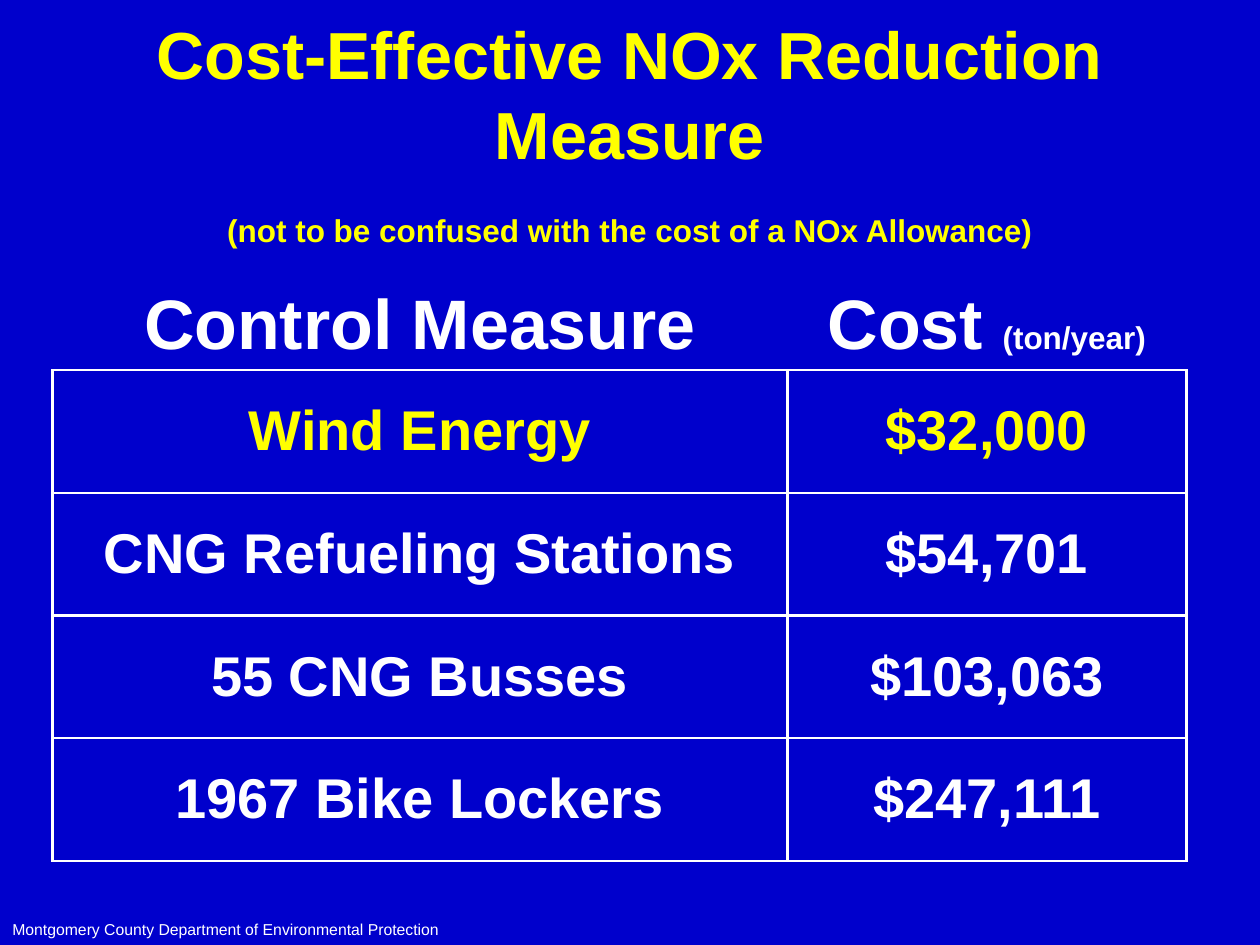
"""Build a slide with a table of NOx reduction costs."""
from dataclasses import dataclass

from lxml import etree
from pptx import Presentation
from pptx import util as u
from pptx.dml.color import RGBColor
from pptx.enum import text
from pptx.oxml import ns


@dataclass(frozen=True)
class Theme:
    font: str = "Arial"
    blue: str = "0000CC"
    white: str = "FFFFFF"
    yellow: str = "FFFF00"
    title: float = 38
    heading: float = 40
    body: float = 32
    small: float = 18
    footer: float = 9
    border: float = 1.47


@dataclass(frozen=True)
class Measure:
    name: str
    cost: str
    color: str


THEME = Theme()
MEASURES = (
    Measure("Wind Energy", "$32,000", THEME.yellow),
    Measure("CNG Refueling Stations", "$54,701", THEME.white),
    Measure("55 CNG Busses", "$103,063", THEME.white),
    Measure("1967 Bike Lockers", "$247,111", THEME.white),
)
COLUMNS = (420, 228)
HEADER_HEIGHT, ROW_HEIGHT = 91.4, 70.1


def style(p, size: float, color: str, bold: bool = True, align=text.PP_ALIGN.CENTER) -> None:
    """Format a whole paragraph."""
    p.alignment = align
    p.font.name = THEME.font
    p.font.size = u.Pt(size)
    p.font.bold = bold
    p.font.color.rgb = RGBColor.from_string(color)


def set_borders(cell, **sides: str) -> None:
    """Draw the cell borders, given as L, R, T and B colours."""
    props = cell._tc.get_or_add_tcPr()
    for side, color in sides.items():
        ln = etree.SubElement(props, ns.qn(f"a:ln{side}"), w=str(u.Pt(THEME.border)))
        fill = etree.SubElement(ln, ns.qn("a:solidFill"))
        etree.SubElement(fill, ns.qn("a:srgbClr"), val=color)


def fill_cell(cell, label: str, size: float, color: str, header: bool = False):
    """Write and format one cell and return its paragraph."""
    edge = THEME.blue if header else THEME.white
    set_borders(cell, L=edge, R=edge, T=edge, B=THEME.white)
    cell.fill.background()
    cell.vertical_anchor = text.MSO_ANCHOR.BOTTOM if header else text.MSO_ANCHOR.MIDDLE
    p = cell.text_frame.paragraphs[0]
    p.text = label
    style(p, size, color)
    return p


def add_title(slide) -> None:
    """Fill the title placeholder."""
    sp = slide.shapes.title
    sp.left, sp.top, sp.width, sp.height = u.Pt(0), u.Pt(36), u.Pt(720), u.Pt(78)
    tf = sp.text_frame
    tf.word_wrap = True
    tf.auto_size = text.MSO_AUTO_SIZE.NONE
    tf.vertical_anchor = text.MSO_ANCHOR.MIDDLE
    p = tf.paragraphs[0]
    p.text = "Cost-Effective NOx Reduction Measure"
    style(p, THEME.title, THEME.yellow)
    p.line_spacing = 1.0
    p = tf.add_paragraph()
    p.text = "(not to be confused with the cost of a NOx Allowance)"
    style(p, THEME.small, THEME.yellow)
    p.line_spacing = 1.0
    p.space_before = u.Pt(22)


def add_costs(slide) -> None:
    """Add the table of measures and costs."""
    height = HEADER_HEIGHT + ROW_HEIGHT * len(MEASURES)
    table = slide.shapes.add_table(
        len(MEASURES) + 1, len(COLUMNS), u.Pt(30), u.Pt(120.2), u.Pt(sum(COLUMNS)), u.Pt(height)
    ).table
    table.first_row = table.horz_banding = False
    for column, width in zip(table.columns, COLUMNS):
        column.width = u.Pt(width)
    for i, row in enumerate(table.rows):
        row.height = u.Pt(ROW_HEIGHT if i else HEADER_HEIGHT)
    fill_cell(table.cell(0, 0), "Control Measure", THEME.heading, THEME.white, header=True)
    p = fill_cell(table.cell(0, 1), "Cost ", THEME.heading, THEME.white, header=True)
    r = p.add_run()
    r.text = "(ton/year)"
    r.font.size = u.Pt(THEME.small)
    for i, measure in enumerate(MEASURES, 1):
        for j, label in enumerate((measure.name, measure.cost)):
            fill_cell(table.cell(i, j), label, THEME.body, measure.color)


def add_footer(slide) -> None:
    """Add the department name at the bottom."""
    sp = slide.shapes.add_textbox(u.Pt(0), u.Pt(522), u.Pt(474), u.Pt(18))
    tf = sp.text_frame
    tf.word_wrap = True
    p = tf.paragraphs[0]
    p.text = "Montgomery County Department of Environmental Protection"
    style(p, THEME.footer, THEME.white, bold=False, align=text.PP_ALIGN.LEFT)


def main() -> None:
    """Build and save the slide."""
    prs = Presentation()
    prs.slide_width, prs.slide_height = u.Pt(720), u.Pt(540)
    slide = prs.slides.add_slide(prs.slide_layouts[5])
    fill = slide.background.fill
    fill.solid()
    fill.fore_color.rgb = RGBColor.from_string(THEME.blue)
    add_title(slide)
    add_costs(slide)
    add_footer(slide)
    prs.save("out.pptx")


if __name__ == "__main__":
    main()
